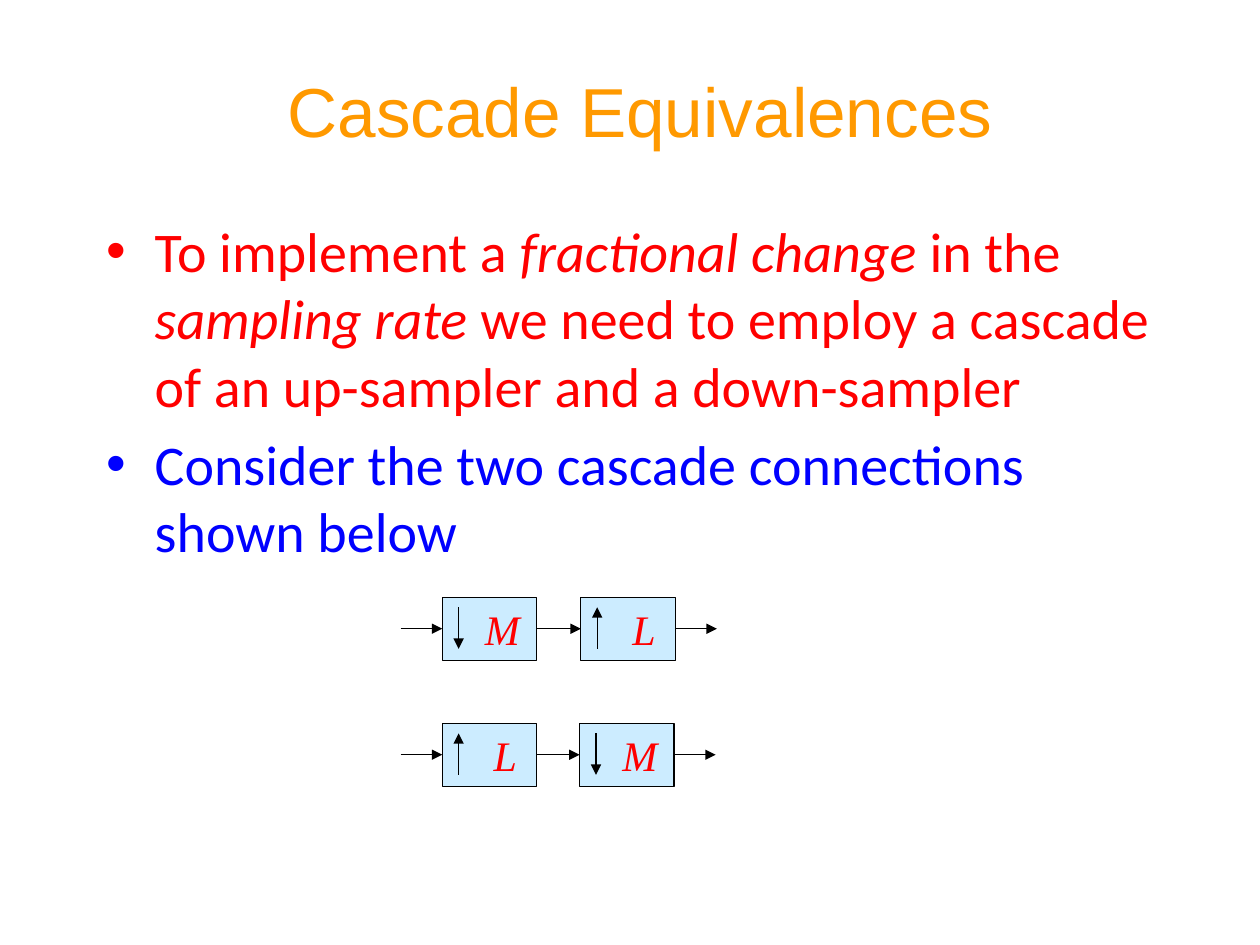
from typing import NamedTuple

from lxml import etree
from pptx import Presentation, util as u
from pptx.dml.color import RGBColor
from pptx.enum import shapes, text
from pptx.oxml.ns import qn

WIDE, HIGH = 10, 7.5
LEFT, BOX_W, BOX_H, LEAD = 3.51, 0.75, 0.5, 0.33
INK, PALE, RED, BLUE, GOLD = "000000", "CCECFF", "FF0000", "0000FF", "FF9900"


class Stage(NamedTuple):
    name: str
    up: bool
    inset: float
    width: float


class Chain(NamedTuple):
    top: float
    pitch: float
    stages: tuple


class Point(NamedTuple):
    color: str
    phrases: tuple


DOWN = Stage("M", False, 0.24, 0.48)
UP = Stage("L", True, 0.31, 0.39)
CHAINS = (
    Chain(4.74, 1.10, (DOWN, UP)),
    Chain(5.74, 1.09, (UP, DOWN)),
)
POINTS = (
    Point(RED, (
        ("To implement a ", False),
        ("fractional change", True),
        (" in the ", False),
        ("sampling rate", True),
        (" we need to employ a cascade of an up-sampler and a down-sampler", False),
    )),
    Point(BLUE, (("Consider the two cascade connections shown below", False),)),
)


def tint(code: str) -> RGBColor:
    return RGBColor.from_string(code)


def style(font, face: str, size: float, code: str) -> None:
    font.name, font.size = face, u.Pt(size)
    font.color.rgb = tint(code)


def arrow(slide, x1: float, y1: float, x2: float, y2: float, start=None, end=None) -> None:
    line = slide.shapes.add_connector(
        shapes.MSO_CONNECTOR.STRAIGHT, *map(u.Inches, (x1, y1, x2, y2)))
    if start is not None:
        line.begin_connect(start, 3)
    if end is not None:
        line.end_connect(end, 1)
    line.line.color.rgb = tint(INK)
    line.line.width = u.Pt(0.75)
    props = line._element.spPr
    etree.SubElement(props.find(qn("a:ln")), qn("a:tailEnd"), type="triangle")
    etree.SubElement(props, qn("a:effectLst"))


def block(slide, stage: Stage, x: float, y: float):
    box = slide.shapes.add_shape(
        shapes.MSO_SHAPE.RECTANGLE, *map(u.Inches, (x, y, BOX_W, BOX_H)))
    box.shadow.inherit = False
    box.fill.solid()
    box.fill.fore_color.rgb = tint(PALE)
    box.line.color.rgb = tint(INK)
    box.line.width = u.Pt(0.75)

    ends = (y + 0.41, y + 0.08) if stage.up else (y + 0.08, y + 0.41)
    arrow(slide, x + 0.13, ends[0], x + 0.13, ends[1])

    label = slide.shapes.add_textbox(
        *map(u.Inches, (x + stage.inset, y, stage.width, BOX_H)))
    frame = label.text_frame
    frame.word_wrap = False
    frame.auto_size = text.MSO_AUTO_SIZE.SHAPE_TO_FIT_TEXT
    para = frame.paragraphs[0]
    para.text = stage.name
    style(para.font, "Times New Roman", 24, RED)
    para.font.italic = True
    return box


def cascade(slide, chain: Chain) -> None:
    mid = chain.top + BOX_H / 2
    last, edge = None, LEFT - LEAD
    for i, stage in enumerate(chain.stages):
        x = LEFT + i * chain.pitch
        box = block(slide, stage, x, chain.top)
        arrow(slide, edge, mid, x, mid, last, box)
        last, edge = box, x + BOX_W
    arrow(slide, edge, mid, edge + LEAD, mid, last)


def heading(slide) -> None:
    title = slide.shapes.title
    title.left, title.top, title.width, title.height = map(
        u.Inches, (0.83, 0.5, 0.85 * WIDE, 0.1 * HIGH))
    frame = title.text_frame
    frame.vertical_anchor = text.MSO_ANCHOR.MIDDLE
    para = frame.paragraphs[0]
    para.text = "Cascade Equivalences"
    para.alignment = text.PP_ALIGN.CENTER
    style(para.font, "Arial", 39.6, GOLD)


def bullets(slide) -> None:
    body = slide.shapes.add_textbox(
        *map(u.Inches, (0.75, 1.67, 0.85 * WIDE, 5.17)))
    frame = body.text_frame
    frame.word_wrap = True
    for i, point in enumerate(POINTS):
        para = frame.add_paragraph() if i else frame.paragraphs[0]
        props = para._p.get_or_add_pPr()
        props.set("marL", str(u.Inches(0.38)))
        props.set("indent", str(u.Inches(-0.38)))
        etree.SubElement(props, qn("a:buFont"), typeface="Arial")
        etree.SubElement(props, qn("a:buChar"), char="•")
        if i:
            para.space_before = u.Pt(6.4)
        style(para.font, "Calibri", 32, point.color)
        for words, slant in point.phrases:
            run = para.add_run()
            run.text = words
            if slant:
                run.font.italic = True


def main() -> None:
    deck = Presentation()
    deck.slide_width, deck.slide_height = u.Inches(WIDE), u.Inches(HIGH)
    slide = deck.slides.add_slide(deck.slide_layouts[5])
    heading(slide)
    bullets(slide)
    for chain in CHAINS:
        cascade(slide, chain)
    deck.save("out.pptx")


if __name__ == "__main__":
    main()
